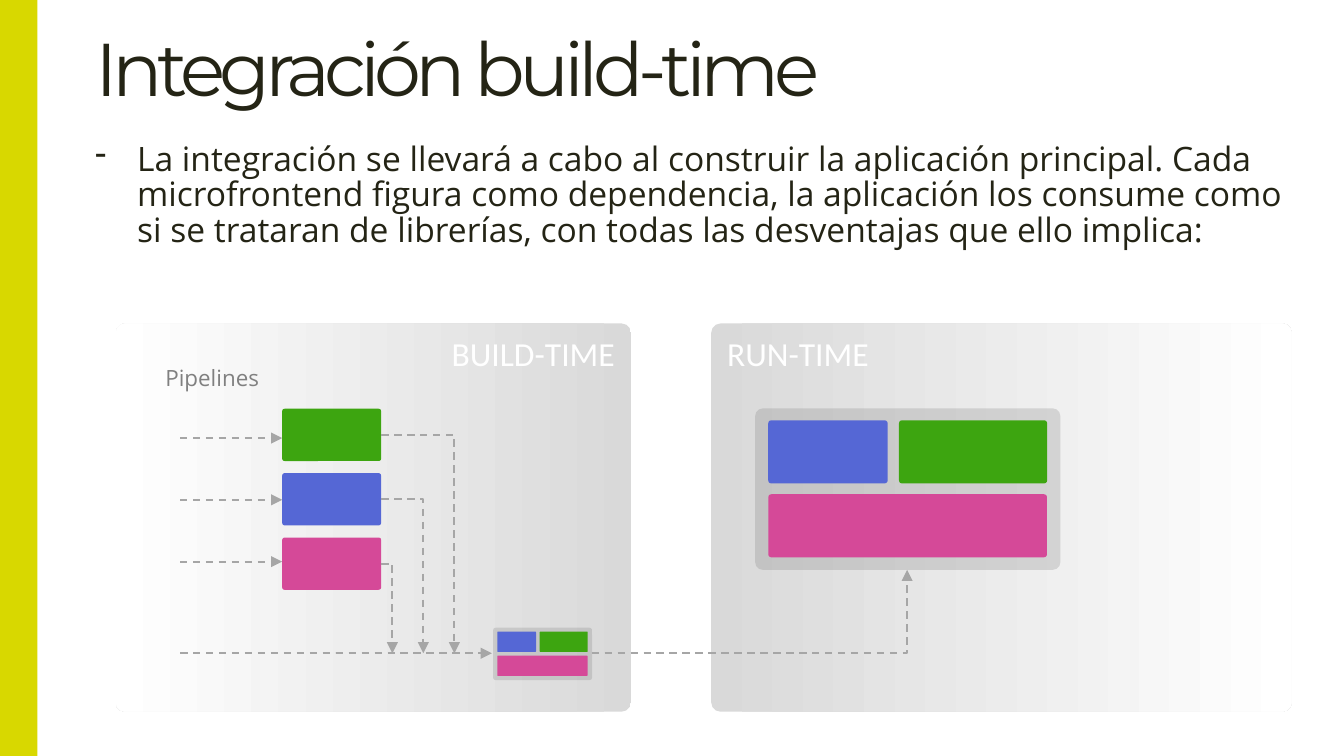
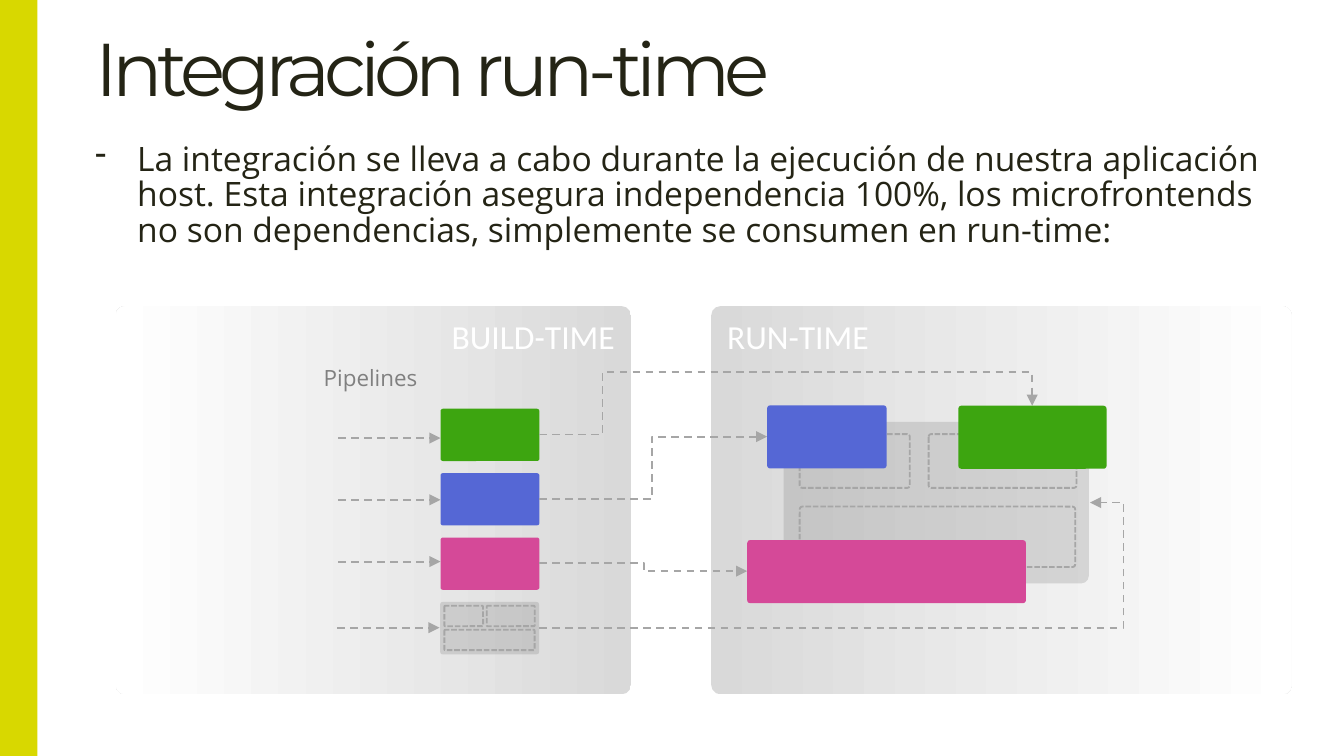
from dataclasses import dataclass

from lxml import etree
from pptx import Presentation
from pptx.dml.color import RGBColor
from pptx.enum.dml import MSO_LINE
from pptx.enum.shapes import MSO_CONNECTOR, MSO_SHAPE
from pptx.enum.text import MSO_ANCHOR, MSO_AUTO_SIZE, PP_ALIGN
from pptx.oxml.ns import qn
from pptx.util import Pt

ELBOW = MSO_CONNECTOR.ELBOW
RECT, ROUNDED = MSO_SHAPE.RECTANGLE, MSO_SHAPE.ROUNDED_RECTANGLE
DASH, SHORT_DASH = MSO_LINE.DASH, MSO_LINE.SQUARE_DOT
TOP, MIDDLE, BOTTOM = MSO_ANCHOR.TOP, MSO_ANCHOR.MIDDLE, MSO_ANCHOR.BOTTOM
LEFT, RIGHT = PP_ALIGN.LEFT, PP_ALIGN.RIGHT
FIT_SHAPE, NO_FIT = MSO_AUTO_SIZE.SHAPE_TO_FIT_TEXT, MSO_AUTO_SIZE.NONE
TITLE_ONLY = 5


@dataclass(frozen=True)
class Theme:
    ink: str = "242415"
    band: str = "D8D800"
    panel_dark: str = "D9D9D9"
    white: str = "FFFFFF"
    label: str = "808080"
    link: str = "A6A6A6"
    frame: str = "7F7F7F"
    green: str = "3DA510"
    blue: str = "5567D5"
    pink: str = "D54998"
    title_font: str = "Montserrat"
    body_font: str = "Open Sans"
    panel_font: str = "Calibri"
    title_size: float = 40
    body_size: float = 18
    label_size: float = 12


THEME = Theme()
SLIDE_W, SLIDE_H = 720, 405
TEXT_LEFT, TEXT_W = 51, 649.5
BOX_W, BOX_H = 53, 28
BOX_TOP, BOX_STEP = 219, 34.5
PIPE_TOP, PIPE_STEP, PIPE_LEN = 234.7, 33.1, 54.7
MINI = 0.324

# Application view at full scale: frame size, then its three slots
APP_W, APP_H = 163.5, 86.5
MODULE_H = 33.8
MODULE_W = {THEME.blue: 64, THEME.green: 79.4, THEME.pink: 149.3}
SLOTS = [
    (THEME.blue, 7, 6.4, 64, MODULE_H),
    (THEME.pink, 7, 46, 149.3, MODULE_H),
    (THEME.green, 77, 6.4, 79.4, MODULE_H),
]
HOST_SLOTS = [
    (None, 8.6, 6.5, 59, 28.8),
    (None, 77.7, 6.5, 79.2, 28.8),
    (None, 8.6, 45.3, 147.6, 32.4),
]


def rgb(color):
    return RGBColor.from_string(color)


def add_run(paragraph, text, font, size, color):
    run = paragraph.add_run()
    run.text = text
    run.font.name, run.font.size = font, Pt(size)
    run.font.color.rgb = rgb(color)
    return run


def set_frame(frame, insets, anchor=TOP, wrap=True, fit=NO_FIT):
    frame.margin_left, frame.margin_top, frame.margin_right, frame.margin_bottom = map(Pt, insets)
    frame.vertical_anchor, frame.word_wrap, frame.auto_size = anchor, wrap, fit


def add_block(slide, box, kind=ROUNDED, color=None, rounding=0.047):
    """Plain block; without a colour it is an empty dashed slot."""
    block = slide.shapes.add_shape(kind, *map(Pt, box))
    block.shadow.inherit = False
    if kind == ROUNDED:
        block.adjustments[0] = rounding
    if color:
        block.fill.solid()
        block.fill.fore_color.rgb = rgb(color)
        block.line.fill.background()
    else:
        block.fill.background()
        block.line.color.rgb = rgb(THEME.link)
        block.line.width = Pt(1)
        block.line.dash_style = SHORT_DASH
    return block


def add_panel(slide, box, text, align, angle):
    panel = add_block(slide, box, color=THEME.panel_dark, rounding=0.024)
    panel.fill.gradient()
    panel.fill.gradient_angle = angle
    for stop, color in zip(panel.fill.gradient_stops, (THEME.panel_dark, THEME.white)):
        stop.color.rgb = rgb(color)
    set_frame(panel.text_frame, (7.2, 3.6, 7.2, 3.6))
    paragraph = panel.text_frame.paragraphs[0]
    paragraph.alignment = align
    add_run(paragraph, text, THEME.panel_font, THEME.body_size, THEME.white)


def add_app(slide, left, top, scale=1, slots=SLOTS, empty=False):
    """Translucent application frame with its slots, filled or empty."""
    frame = add_block(slide, (left, top, APP_W * scale, APP_H * scale), color=THEME.frame)
    tint = frame.element.spPr.find(".//" + qn("a:srgbClr"))
    etree.SubElement(tint, qn("a:alpha"), val="25000")
    for color, x, y, w, h in slots:
        box = (left + x * scale, top + y * scale, w * scale, h * scale)
        add_block(slide, box, color=None if empty else color)


def add_link(slide, start, end, turn_x=None, turn_y=None, corner=False):
    """Dashed elbow arrow, optionally turning at the given x and y."""
    link = slide.shapes.add_connector(ELBOW, *map(Pt, (*start, *end)))
    link.line.color.rgb = rgb(THEME.link)
    link.line.width = Pt(1)
    link.line.dash_style = DASH
    etree.SubElement(link.get_or_add_ln(), qn("a:tailEnd"), type="triangle")
    properties = link.element.spPr
    etree.SubElement(properties, qn("a:effectLst"))

    geometry = properties.find(qn("a:prstGeom"))
    turns = [(turn - a) / (b - a) for turn, a, b in zip((turn_x, turn_y), start, end)
             if turn is not None]
    if corner:
        geometry.set("prst", "bentConnector2")
    elif turns:
        geometry.set("prst", f"bentConnector{len(turns) + 2}")
        guides = geometry.find(qn("a:avLst"))
        for number, turn in enumerate(turns, 1):
            etree.SubElement(guides, qn("a:gd"), name=f"adj{number}",
                             fmla=f"val {round(turn * 100000)}")


def add_pipelines(slide, left):
    """Label and the three microfrontends, each fed by its pipeline."""
    box = slide.shapes.add_textbox(*map(Pt, (left - 68.4, 189.4, 62, 26)))
    set_frame(box.text_frame, (5.8,) * 4, MIDDLE, wrap=False, fit=FIT_SHAPE)
    add_run(box.text_frame.paragraphs[0], "Pipelines", THEME.body_font,
            THEME.label_size, THEME.label)
    for row, color in enumerate((THEME.green, THEME.blue, THEME.pink)):
        add_block(slide, (left, BOX_TOP + row * BOX_STEP, BOX_W, BOX_H), color=color)
        y = PIPE_TOP + row * PIPE_STEP
        add_link(slide, (left - PIPE_LEN, y), (left, y))


def add_body(slide, text):
    body = slide.shapes.add_textbox(*map(Pt, (TEXT_LEFT, 72.7, TEXT_W, 72.7)))
    set_frame(body.text_frame, (0, 3.6, 7.2, 3.6), fit=FIT_SHAPE)
    paragraph = body.text_frame.paragraphs[0]
    paragraph.line_spacing = 0.89
    add_run(paragraph, text, THEME.body_font, THEME.body_size, THEME.ink)
    bullet = paragraph._p.get_or_add_pPr()
    bullet.set("marL", str(Pt(22.5)))
    bullet.set("indent", str(Pt(-22.5)))
    etree.SubElement(bullet, qn("a:buChar"), char="-")


def start_slide(deck, title_text, body_text, panel_top):
    """Slide with the shared band, title, body and the two phase panels."""
    slide = deck.slides.add_slide(deck.slide_layouts[TITLE_ONLY])
    add_panel(slide, (62, panel_top, 276, 208), "BUILD-TIME", RIGHT, 180)
    add_panel(slide, (381, panel_top, 311, 208), "RUN-TIME", LEFT, 0)

    title = slide.shapes.title
    title.left, title.top, title.width, title.height = map(Pt, (TEXT_LEFT, 0, TEXT_W, 64))
    set_frame(title.text_frame, (0, 3.6, 7.2, 3.6), BOTTOM)
    paragraph = title.text_frame.paragraphs[0]
    paragraph.alignment = LEFT
    paragraph.line_spacing = 0.9
    run = add_run(paragraph, title_text, THEME.title_font, THEME.title_size, THEME.ink)
    run.font._element.set("spc", "-300")

    add_block(slide, (0, 0, 20, SLIDE_H), kind=RECT, color=THEME.band)
    add_body(slide, body_text)
    return slide


def build_time_slide(deck):
    slide = start_slide(
        deck, "Integración build-time",
        "La integración se llevará a cabo al construir la aplicación principal. "
        "Cada microfrontend figura como dependencia, la aplicación los consume como "
        "si se trataran de librerías, con todas las desventajas que ello implica:", 173.3)
    column, host_y = 151.2, 350
    add_pipelines(slide, column)
    add_app(slide, 264.2, 336.3, MINI)
    add_app(slide, 404.6, 218.8)

    # Host pipeline, joined by each microfrontend, then released
    add_link(slide, (column - PIPE_LEN, host_y), (263.5, host_y))
    add_link(slide, (317, host_y), (486, 305.3), corner=True)
    for row in range(3):
        y = BOX_TOP + BOX_H / 2 + row * BOX_STEP
        add_link(slide, (column + BOX_W, y), (243.4 - 16.6 * row, host_y), corner=True)


def run_time_slide(deck):
    slide = start_slide(
        deck, "Integración run-time",
        "La integración se lleva a cabo durante la ejecución de nuestra aplicación host. "
        "Esta integración asegura independencia 100%, los microfrontends no son "
        "dependencias, simplemente se consumen en run-time:", 164)
    column, host_y = 236, 336.3
    add_pipelines(slide, column)
    add_app(slide, column - 0.2, BOX_TOP + 3 * BOX_STEP, MINI, empty=True)
    add_app(slide, 419.8, 226.1, slots=HOST_SLOTS, empty=True)

    # Every part travels to run-time by its own route
    out = column + BOX_W
    add_link(slide, (column - PIPE_LEN - 0.5, host_y), (column - 0.5, host_y))
    add_link(slide, (out, host_y), (583.9, 269.3), turn_x=601.9)
    add_link(slide, (out, 301.7), (400.3, 306), turn_x=344.9)
    add_link(slide, (out, 232.8), (553, 217.4), turn_x=322.7, turn_y=199.4)
    add_link(slide, (out, 267.5), (411, 234), turn_x=349.2)

    # Microfrontends arriving over their slots
    for color, x, y in ((THEME.blue, 411, 217.2), (THEME.green, 513.4, 217.4),
                        (THEME.pink, 400.3, 289.4)):
        add_block(slide, (x, y, MODULE_W[color], MODULE_H), color=color)


def main():
    deck = Presentation()
    deck.slide_width, deck.slide_height = Pt(SLIDE_W), Pt(SLIDE_H)
    build_time_slide(deck)
    run_time_slide(deck)
    deck.save("out.pptx")


if __name__ == "__main__":
    main()
